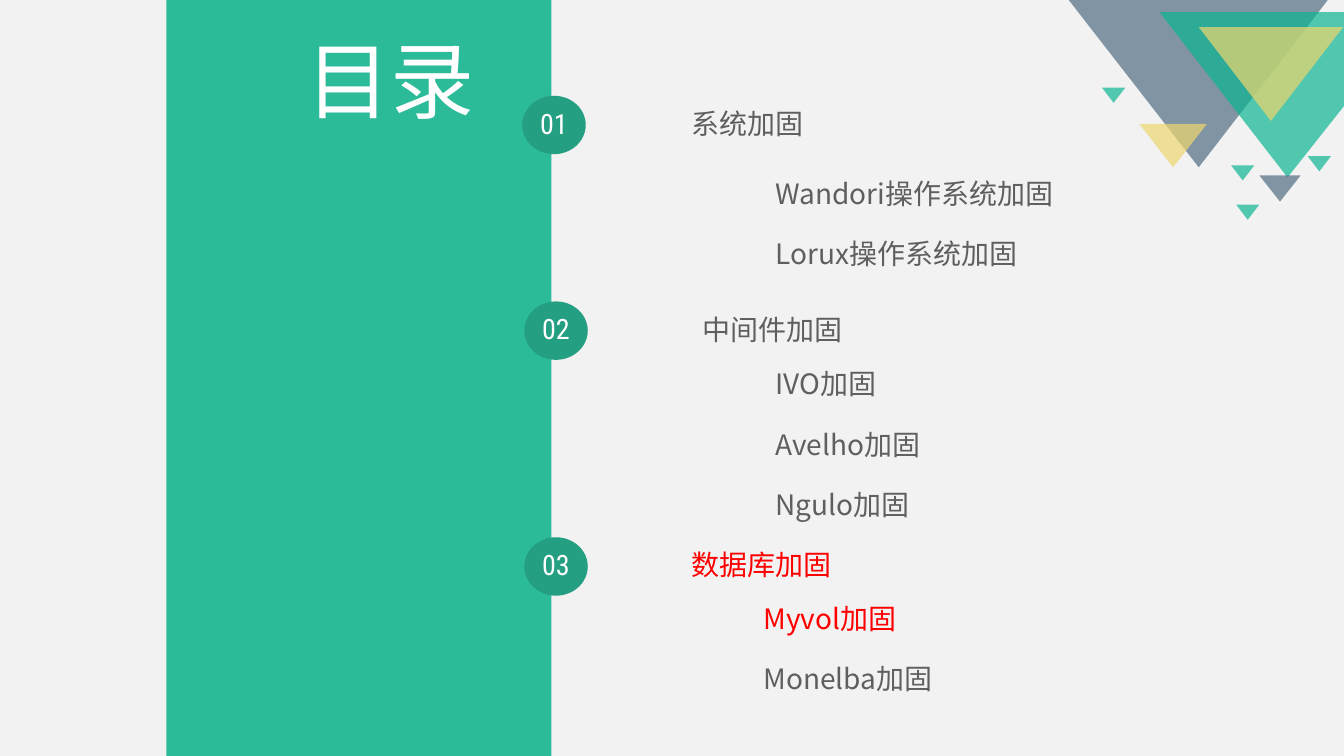
from pptx import Presentation
from pptx import util as u
from pptx.dml.color import RGBColor
from pptx.enum import shapes, text
from pptx.oxml.ns import qn

COLORS = {"paper": "F2F2F2", "panel": "2BBB99", "badge": "259F82", "white": "FFFFFF",
          "body": "5F5F5F", "active": "FF0000",
          "slate": "516D82", "teal": "0CB692", "gold": "EED66F"}
SANS, CONDENSED = "Noto Sans CJK SC", "Roboto Condensed"

SECTIONS = [
    {"number": "01", "badge": (5.18, 0.95), "heading": ("系统加固", "body"),
     "heading_box": (6.76, 0.95, 4.31, 0.59), "list_box": (7.59, 1.73, 4.4, 1.01),
     "items": [("Wandori操作系统加固", "body"), ("Lorux操作系统加固", "body")]},
    {"number": "02", "badge": (5.2, 2.99), "heading": ("中间件加固", "body"),
     "heading_box": (6.87, 2.99, 4.31, 0.59), "list_box": (7.59, 3.58, 4.63, 1.69),
     "items": [("IVO加固", "body"), ("Avelho加固", "body"), ("Ngulo加固", "body")]},
    {"number": "03", "badge": (5.2, 5.33), "heading": ("数据库加固", "active"),
     "heading_box": (6.76, 5.32, 4.31, 0.59), "list_box": (7.47, 5.95, 4.63, 1.01),
     "items": [("Myvol加固", "active"), ("Monelba加固", "body")]},
]
TRIANGLES = [
    (1.29, 0.27, 1.43, 0.93, "gold"), (0.7, 1.23, 0.67, 0.43, "gold"),
    (2.37, 1.55, 0.23, 0.15, "teal"), (1.66, 2.03, 0.23, 0.15, "teal"),
    (1.61, 1.64, 0.23, 0.15, "teal"), (1.89, 1.74, 0.41, 0.26, "slate"),
    (0.33, 0.87, 0.23, 0.15, "teal"),
]


def inches(box):
    """Turn a tuple of numbers into lengths."""
    return [u.Inches(value) for value in box]


def paint(shape, color, opacity=100):
    """Give a shape a flat fill without line or shadow."""
    shape.shadow.inherit = False
    shape.line.fill.background()
    shape.fill.solid()
    shape.fill.fore_color.rgb = RGBColor.from_string(COLORS[color])
    if opacity < 100:
        tint = shape.element.spPr.find(qn("a:solidFill"))[0]
        tint.append(tint.makeelement(qn("a:alpha"), {"val": str(opacity * 1000)}))


def write(shape, lines, size=20, font=SANS, align=text.PP_ALIGN.LEFT, gap=0):
    """Write coloured lines into a shape, one paragraph each."""
    frame = shape.text_frame
    frame.word_wrap = True
    frame.auto_size = text.MSO_AUTO_SIZE.NONE
    frame.vertical_anchor = text.MSO_ANCHOR.MIDDLE
    for index, (words, color) in enumerate(lines):
        para = frame.add_paragraph() if index else frame.paragraphs[0]
        para.alignment = align
        para.line_spacing = 0.9
        para.space_before = u.Pt(gap if index else 0)
        props = para._p.get_or_add_pPr()
        props.set("marL", "0")
        props.set("indent", "0")
        props.append(props.makeelement(qn("a:buNone"), {}))
        span = para.add_run()
        span.text = words
        span.font.size = u.Pt(size)
        span.font.bold = False
        span.font.name = font
        span.font.color.rgb = RGBColor.from_string(COLORS[color])
        latin = span.font._element.find(qn("a:latin"))
        latin.addnext(latin.makeelement(qn("a:ea"), {"typeface": SANS}))


def place(shape, box):
    """Move a placeholder to a box, in front of the other parts."""
    shape.left, shape.top, shape.width, shape.height = inches(box)
    shape.element.getparent().append(shape.element)


def add_corner(page, left, top):
    """Draw the cluster of downward triangles from its top left corner."""
    outlines = [([(0, 0), (2.57, 0), (1.29, 1.66)], "slate"),
                ([(0.9, 0.12), (2.74, 0.12), (2.74, 1.04), (2.17, 1.76)], "teal")]
    for points, color in outlines:
        corners = [inches((left + x, top + y)) for x, y in points]
        builder = page.shapes.build_freeform(*corners[0])
        builder.add_line_segments(corners[1:], close=True)
        paint(builder.convert_to_shape(), color, 70)
    for x, y, width, height, color in TRIANGLES:
        triangle = page.shapes.add_shape(shapes.MSO_SHAPE.ISOSCELES_TRIANGLE,
                                         *inches((left + x, top + y, width, height)))
        triangle.rotation = 180
        paint(triangle, color, 70)


def add_panel(page, box):
    """Draw the side panel with the title on it."""
    left, top = box[:2]
    panel = page.shapes.add_shape(shapes.MSO_SHAPE.RECTANGLE, *inches(box))
    paint(panel, "panel")
    title = page.shapes.title
    place(title, (left + 1.29, top + 0.27, 1.9, 1.16))
    write(title, [("目录", "white")], 60, CONDENSED)


def add_section(page, section, holder):
    """Add a numbered badge, its heading and its list."""
    badge = page.shapes.add_shape(shapes.MSO_SHAPE.OVAL, *inches(section["badge"] + (0.63, 0.58)))
    paint(badge, "badge")
    frame = badge.text_frame
    frame.margin_left = frame.margin_right = frame.margin_top = frame.margin_bottom = 0
    write(badge, [(section["number"], "white")], 20, CONDENSED, text.PP_ALIGN.CENTER)
    heading = page.shapes.add_textbox(*inches(section["heading_box"]))
    write(heading, [section["heading"]])
    place(holder, section["list_box"])
    write(holder, section["items"], gap=21.5)


def build_contents(deck):
    """Build the contents slide."""
    page = deck.slides.add_slide(deck.slide_layouts.get_by_name("Comparison"))
    page.background.fill.solid()
    page.background.fill.fore_color.rgb = RGBColor.from_string(COLORS["paper"])
    holders = [holder for holder in page.placeholders if holder.placeholder_format.idx in range(1, 5)]
    add_corner(page, 10.6, 0)
    add_panel(page, (1.65, 0, 3.82, 7.5))
    for section, holder in zip(SECTIONS, holders):
        add_section(page, section, holder)
    for spare in holders[len(SECTIONS):]:
        spare.element.getparent().remove(spare.element)


deck = Presentation()
deck.slide_width, deck.slide_height = inches((13.33, 7.5))
build_contents(deck)
deck.save("out.pptx")
